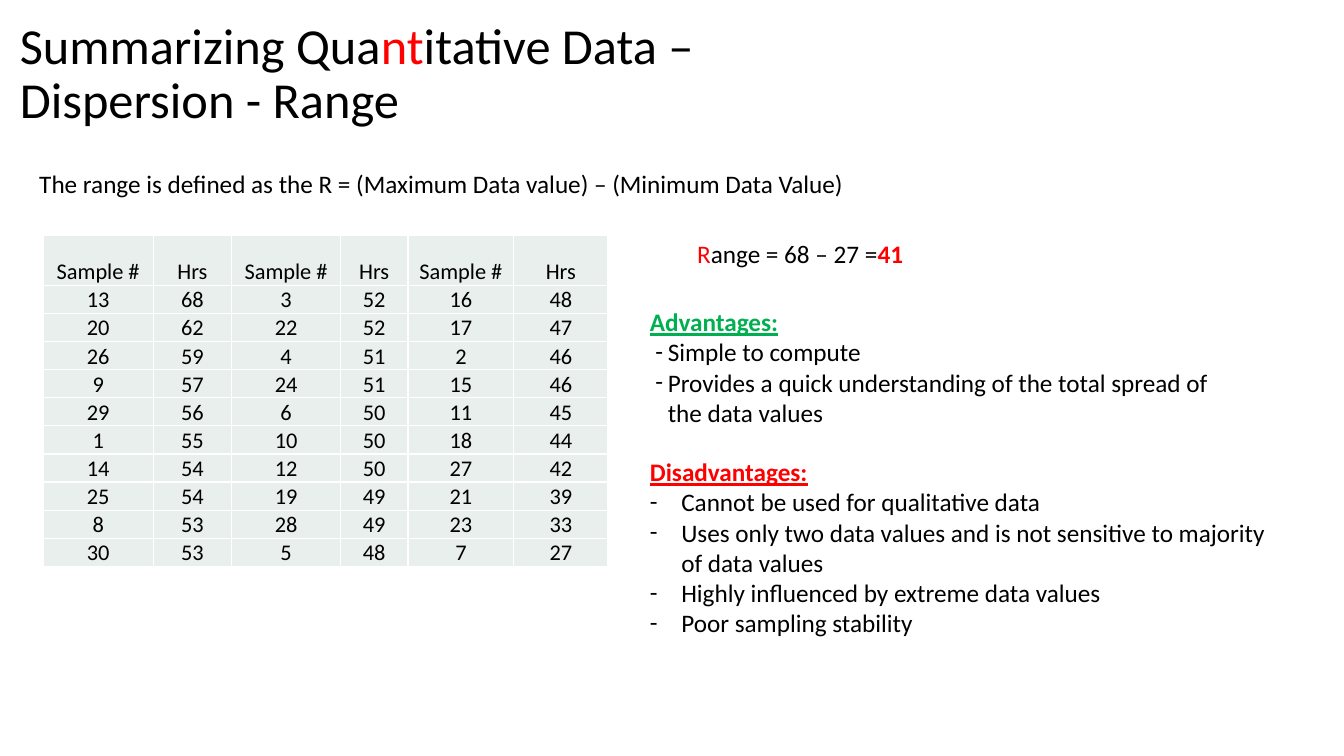
"""Build a slide that explains the range as a measure of dispersion."""
import lxml.etree
import pptx
import pptx.dml.color
import pptx.enum.text
import pptx.oxml.ns
import pptx.util

Cm = pptx.util.Cm
BLACK, RED, GREEN, WHITE, PALE = "000000", "FF0000", "00B050", "FFFFFF", "E8EFEC"
COLUMN_WIDTHS = [2.77, 1.98, 2.74, 1.7, 2.67, 2.37]
HEADER_HEIGHT, ROW_HEIGHT, SAMPLES_PER_COLUMN = 1.27, 0.7, 10
SAMPLES = [
    (13, 68), (20, 62), (26, 59), (9, 57), (29, 56),
    (1, 55), (14, 54), (25, 54), (8, 53), (30, 53),
    (3, 52), (22, 52), (4, 51), (24, 51), (6, 50),
    (10, 50), (12, 50), (19, 49), (28, 49), (5, 48),
    (16, 48), (17, 47), (2, 46), (15, 46), (11, 45),
    (18, 44), (27, 42), (21, 39), (23, 33), (7, 27),
]
ADVANTAGES = [
    "Simple to compute",
    "Provides a quick understanding of the total spread of\nthe data values",
]
DISADVANTAGES = [
    "Cannot be used for qualitative data",
    "Uses only two data values and is not sensitive to majority of data values",
    "Highly influenced by extreme data values",
    "Poor sampling stability",
]


def rgb(color):
    """Turn a hex string into a colour."""
    return pptx.dml.color.RGBColor.from_string(color)


def add_text(paragraph, text, size=18, color=BLACK, bold=False, underline=False):
    """Add formatted text to a paragraph, with line breaks at newlines."""
    for index, line in enumerate(text.split("\n")):
        if index:
            paragraph.add_line_break()
        run = paragraph.add_run()
        run.text = line
        run.font.name = "Calibri"
        run.font.size = pptx.util.Pt(size)
        run.font.bold = bold
        run.font.underline = underline
        run.font.color.rgb = rgb(color)


def add_box(slide, left, top, width, height):
    """Add a wrapping text box and return its text frame."""
    shape = slide.shapes.add_textbox(Cm(left), Cm(top), Cm(width), Cm(height))
    shape.text_frame.word_wrap = True
    return shape.text_frame


def add_child(parent, tag, **attributes):
    """Append a drawing element to a parent element."""
    return lxml.etree.SubElement(parent, pptx.oxml.ns.qn(tag), attributes)


def add_dash_list(slide, box, heading, color, items, margin, hanging):
    """Add a coloured heading with dashed items below it."""
    text_frame = add_box(slide, *box)
    add_text(text_frame.paragraphs[0], heading, color=color, bold=True, underline=True)
    for item in items:
        paragraph = text_frame.add_paragraph()
        properties = paragraph._p.get_or_add_pPr()
        properties.set("marL", str(Cm(margin)))
        properties.set("indent", str(-Cm(hanging)))
        add_child(properties, "a:buFont", typeface="Calibri")
        add_child(properties, "a:buChar", char="-")
        add_text(paragraph, item)


def format_cell(cell, text):
    """Fill, border and label one table cell."""
    properties = cell._tc.get_or_add_tcPr()
    for side in ("a:lnL", "a:lnR", "a:lnT", "a:lnB"):
        line = add_child(properties, side, w=str(pptx.util.Pt(1)))
        add_child(add_child(line, "a:solidFill"), "a:srgbClr", val=WHITE)
    cell.fill.solid()
    cell.fill.fore_color.rgb = rgb(PALE)
    cell.margin_left = cell.margin_right = cell.margin_top = Cm(0.03)
    cell.margin_bottom = 0
    cell.vertical_anchor = pptx.enum.text.MSO_ANCHOR.BOTTOM
    paragraph = cell.text_frame.paragraphs[0]
    paragraph.alignment = pptx.enum.text.PP_ALIGN.CENTER
    add_text(paragraph, text, size=16)


def add_sample_table(slide, left, top):
    """Add the table of samples, filled downwards in pairs of columns."""
    height = HEADER_HEIGHT + SAMPLES_PER_COLUMN * ROW_HEIGHT
    table = slide.shapes.add_table(
        SAMPLES_PER_COLUMN + 1, len(COLUMN_WIDTHS),
        Cm(left), Cm(top), Cm(sum(COLUMN_WIDTHS)), Cm(height)).table
    table.first_row = table.horz_banding = False
    for column, width in zip(table.columns, COLUMN_WIDTHS):
        column.width = Cm(width)
    for index, row in enumerate(table.rows):
        row.height = Cm(ROW_HEIGHT if index else HEADER_HEIGHT)
    for column in range(len(COLUMN_WIDTHS)):
        block, field = divmod(column, 2)
        start = block * SAMPLES_PER_COLUMN
        samples = SAMPLES[start:start + SAMPLES_PER_COLUMN]
        values = [("Sample #", "Hrs")[field]] + [sample[field] for sample in samples]
        for row, value in enumerate(values):
            format_cell(table.cell(row, column), str(value))


def main():
    """Build and save the presentation."""
    presentation = pptx.Presentation()
    presentation.slide_width, presentation.slide_height = Cm(33.87), Cm(19.05)
    slide = presentation.slides.add_slide(presentation.slide_layouts[6])

    title = add_box(slide, 0.25, 0.05, 29.21, 3.68)
    title.vertical_anchor = pptx.enum.text.MSO_ANCHOR.MIDDLE
    title.paragraphs[0].line_spacing = 0.9
    add_text(title.paragraphs[0], "Summarizing Qua", size=36)
    add_text(title.paragraphs[0], "nt", size=36, color=RED)
    add_text(title.paragraphs[0], "itative Data –\nDispersion - Range", size=36)

    definition = add_box(slide, 0.74, 4.11, 25.35, 1.02)
    add_text(definition.paragraphs[0],
             "The range is defined as the R = (Maximum Data value) – (Minimum Data Value)")

    add_sample_table(slide, 1.09, 5.92)

    result = add_box(slide, 17.32, 5.87, 12.45, 1.02).paragraphs[0]
    add_text(result, "R", color=RED)
    add_text(result, "ange = 68 – 27 =")
    add_text(result, "41", color=RED, bold=True)

    add_dash_list(slide, (16.13, 7.6, 16.03, 3.33), "Advantages:", GREEN,
                  ADVANTAGES, margin=0.45, hanging=0.31)
    add_dash_list(slide, (16.13, 11.38, 16.66, 7.19), "Disadvantages:", RED,
                  DISADVANTAGES, margin=0.79, hanging=0.79)
    presentation.save("out.pptx")


if __name__ == "__main__":
    main()
